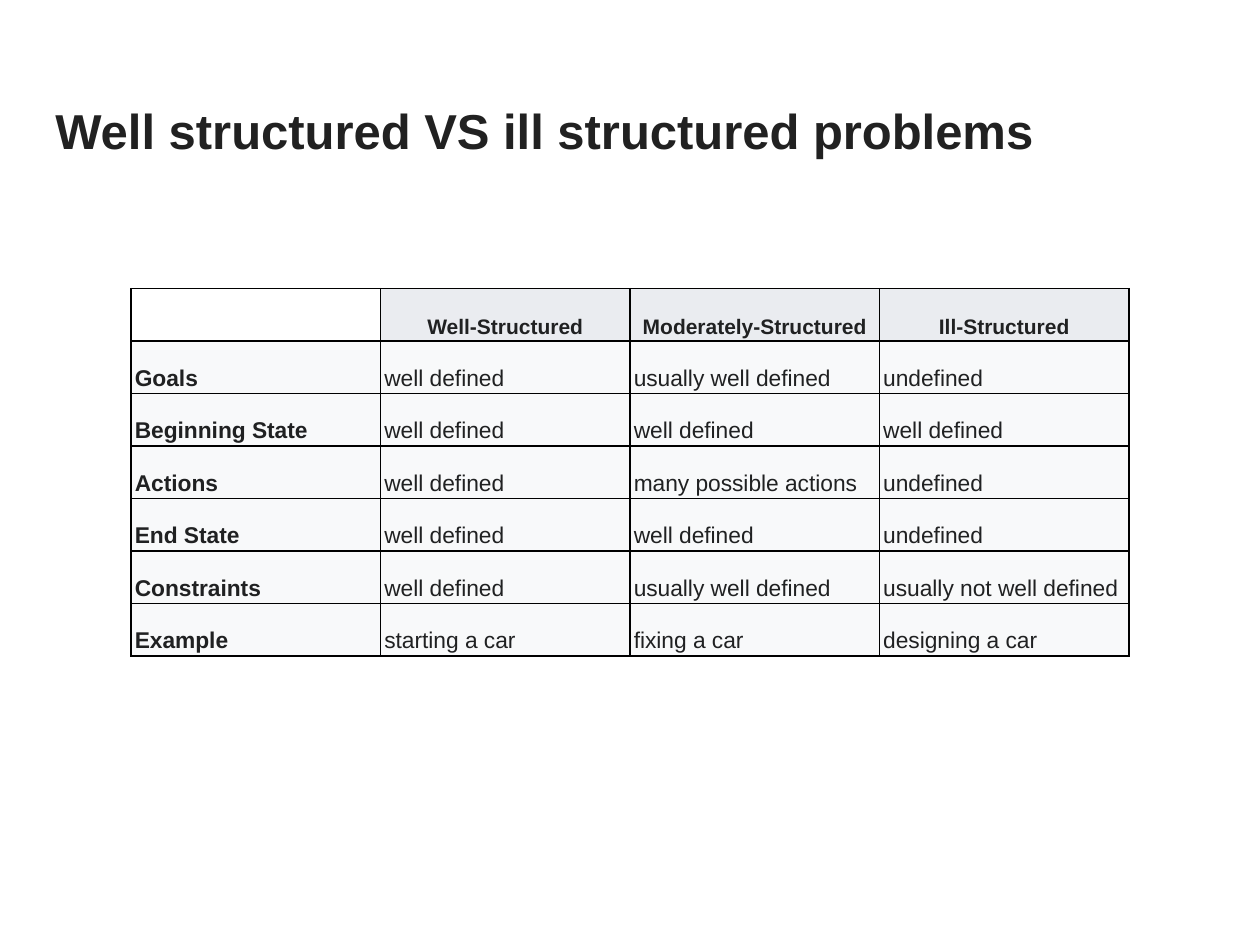
from dataclasses import dataclass

from lxml.etree import SubElement
from pptx import Presentation
from pptx.dml.color import RGBColor as RGB
from pptx.enum.text import MSO_ANCHOR as ANCHOR, PP_ALIGN as ALIGN
from pptx.oxml.ns import qn
from pptx.util import Inches, Pt


@dataclass(frozen=True)
class Theme:
    font: str = "Arial"
    title: str = "212121"
    ink: str = "202122"
    header_fill: str = "EAECF0"
    body_fill: str = "F8F9FA"
    border: str = "000000"
    title_size: int = 28
    header_size: int = 12
    body_size: int = 13


THEME = Theme()
ROWS = [
    ("", "Well-Structured", "Moderately-Structured", "Ill-Structured"),
    ("Goals", "well defined", "usually well defined", "undefined"),
    ("Beginning State", "well defined", "well defined", "well defined"),
    ("Actions", "well defined", "many possible actions", "undefined"),
    ("End State", "well defined", "well defined", "undefined"),
    ("Constraints", "well defined", "usually well defined", "usually not well defined"),
    ("Example", "starting a car", "fixing a car", "designing a car"),
]
COL_WIDTH, ROW_HEIGHT = Inches(1.98), Inches(7.5 / 18)


def write(tf, text, size, color=THEME.ink, bold=False, align=ALIGN.LEFT, spacing=1.0):
    p = tf.paragraphs[0]
    p.alignment, p.line_spacing = align, spacing
    r = p.add_run()
    r.text = text
    font = r.font
    font.name, font.size, font.bold = THEME.font, Pt(size), bold
    font.color.rgb = RGB.from_string(color)


def add_title(s, text):
    sp = s.shapes.title
    sp.left, sp.top = Inches(0.34), Inches(0.65)
    sp.width, sp.height = Inches(9.32), Inches(0.83)
    tf = sp.text_frame
    tf.margin_left = tf.margin_right = tf.margin_top = tf.margin_bottom = Inches(0.1)
    tf.vertical_anchor, tf.word_wrap = ANCHOR.TOP, True
    write(tf, text, THEME.title_size, THEME.title, bold=True, spacing=1.1)


def add_borders(cell):
    props = cell._tc.get_or_add_tcPr()
    for side in ("a:lnL", "a:lnR", "a:lnT", "a:lnB"):
        line = SubElement(props, qn(side), w=str(Pt(1)))
        fill = SubElement(line, qn("a:solidFill"))
        SubElement(fill, qn("a:srgbClr"), val=THEME.border)


def format_cell(cell, text, header, label):
    cell.margin_left = cell.margin_right = Inches(0.03)
    cell.margin_top = cell.margin_bottom = Inches(0.02)
    cell.vertical_anchor = ANCHOR.BOTTOM
    add_borders(cell)
    if not text:
        cell.fill.background()
        return
    cell.fill.solid()
    cell.fill.fore_color.rgb = RGB.from_string(THEME.header_fill if header else THEME.body_fill)
    write(cell.text_frame, text, THEME.header_size if header else THEME.body_size,
          bold=header or label, align=ALIGN.CENTER if header else ALIGN.LEFT, spacing=1.15)


def add_comparison(s, rows, left, top):
    n_rows, n_cols = len(rows), len(rows[0])
    frame = s.shapes.add_table(n_rows, n_cols, left, top, n_cols * COL_WIDTH, n_rows * ROW_HEIGHT)
    table = frame.table
    table.first_row = table.horz_banding = False
    for i, row in enumerate(rows):
        for j, text in enumerate(row):
            format_cell(table.cell(i, j), text, header=i == 0, label=j == 0)


def main():
    prs = Presentation()
    prs.slide_width, prs.slide_height = Inches(10), Inches(7.5)
    s = prs.slides.add_slide(prs.slide_layouts[5])
    add_title(s, "Well structured VS ill structured problems")
    table_width = len(ROWS[0]) * COL_WIDTH
    add_comparison(s, ROWS, (prs.slide_width - table_width) // 2, Inches(2.29))
    prs.save("out.pptx")


if __name__ == "__main__":
    main()
